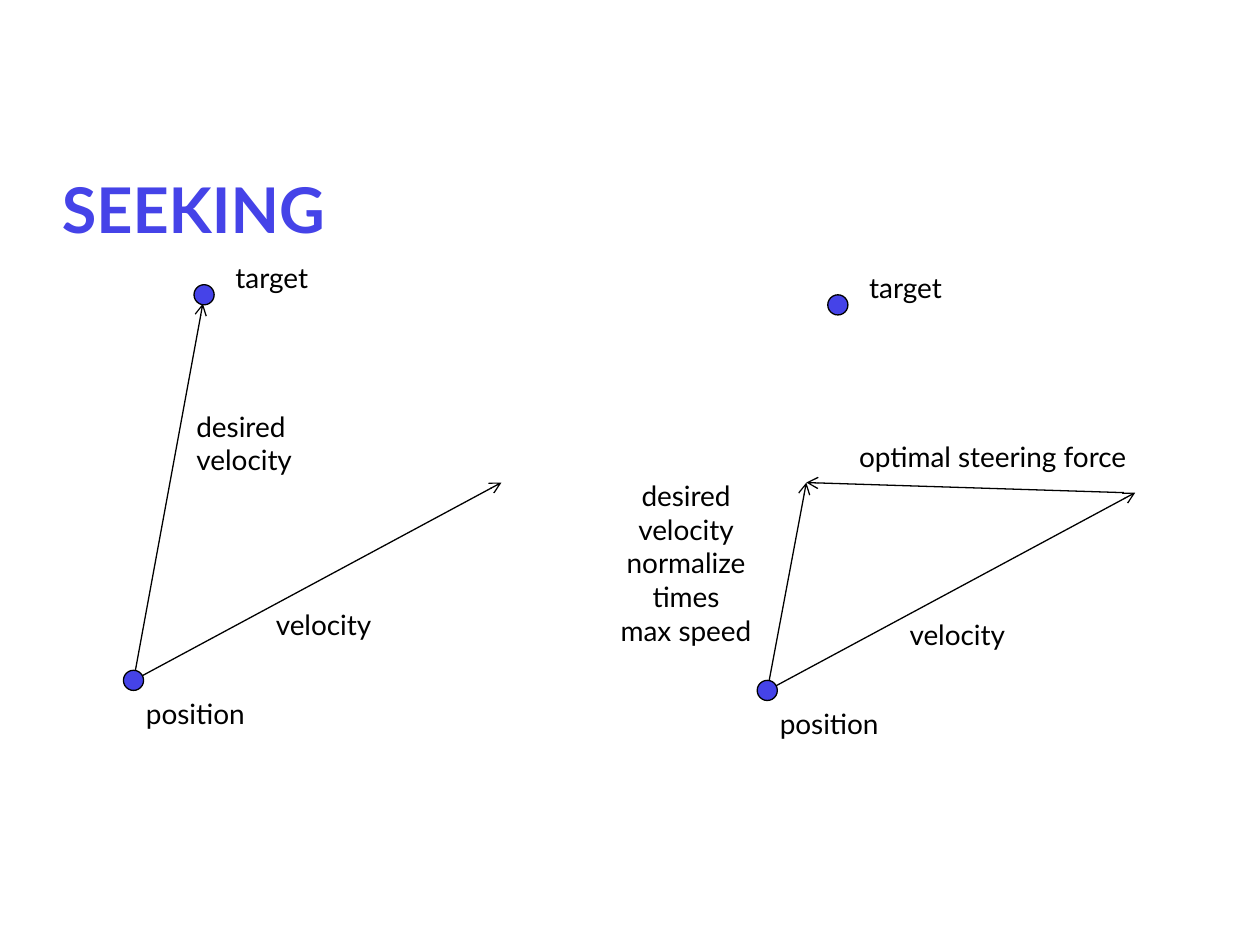
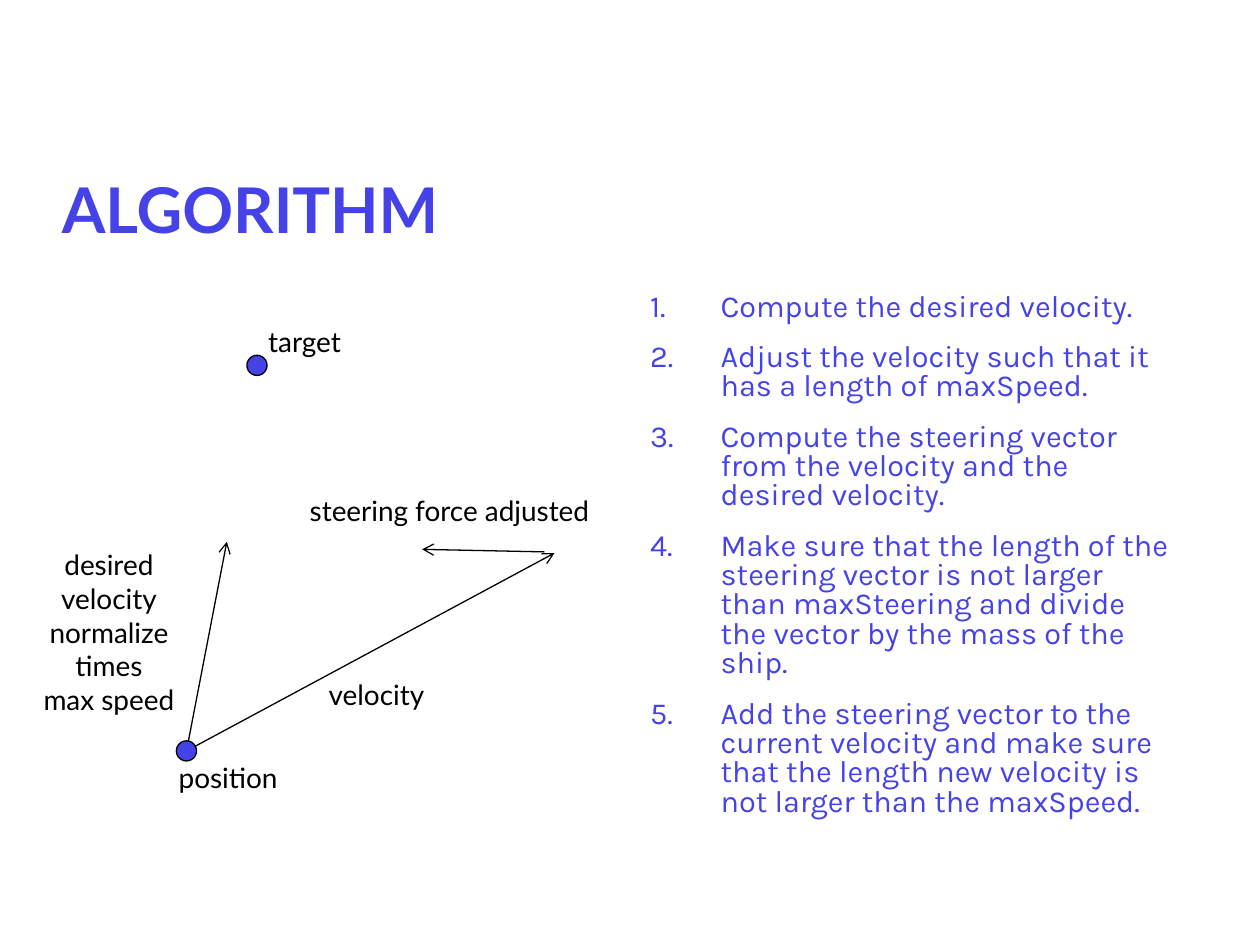
from dataclasses import dataclass

from lxml import etree
from pptx import Presentation
from pptx.dml.color import RGBColor
from pptx.enum.shapes import MSO_CONNECTOR, MSO_SHAPE
from pptx.enum.text import MSO_ANCHOR, MSO_AUTO_SIZE, PP_ALIGN
from pptx.oxml.ns import qn
from pptx.util import Inches, Pt

STRAIGHT = MSO_CONNECTOR.STRAIGHT
OVAL = MSO_SHAPE.OVAL
LEFT, CENTER = PP_ALIGN.LEFT, PP_ALIGN.CENTER
TOP, MIDDLE = MSO_ANCHOR.TOP, MSO_ANCHOR.MIDDLE
FIXED_SIZE, GROW = MSO_AUTO_SIZE.NONE, MSO_AUTO_SIZE.SHAPE_TO_FIT_TEXT

Point = tuple[float, float]


@dataclass(frozen=True)
class Theme:
    """Colours, fonts, type sizes and line weights of the deck."""
    accent: RGBColor = RGBColor(0x45, 0x43, 0xE8)
    ink: RGBColor = RGBColor(0, 0, 0)
    heading_font: str = "Lato"
    list_font: str = "Karla"
    title_size: float = 36
    label_size: float = 16
    list_size: float = 17.5
    line_width: float = 0.75
    dot_size: float = 0.16


THEME = Theme()


@dataclass(frozen=True)
class Label:
    """A caption; its place is an offset from the ship's position."""
    text: str
    offset: Point
    size: Point
    align: PP_ALIGN = LEFT


@dataclass(frozen=True)
class Diagram:
    """A vector diagram; all points are offsets from the ship's position."""
    position: Point
    desired: Point
    labels: tuple[Label, ...]
    steering: tuple[Point, Point] | None = None
    target_label: Point = (0.71, -3.38)
    position_label: Point = (0, 0.08)
    target: Point = (0.56, -3.06)
    velocity: Point = (2.92, -1.57)
    velocity_label: Point = (1.03, -0.63)


SCALED_VELOCITY = "desired\nvelocity\nnormalize\ntimes\nmax speed"

UNSCALED = Diagram(
    position=(1.06, 5.4),
    desired=(0.55, -2.99),
    labels=(Label("desired\nvelocity", (0.4, -2.2), (1.01, 0.64)),),
)
OPTIMAL = Diagram(
    position=(6.09, 5.48),
    desired=(0.31, -1.65),
    steering=((2.83, -1.57), (0.31, -1.65)),
    labels=(
        Label(SCALED_VELOCITY, (-1.3, -1.73), (1.31, 1.45), CENTER),
        Label("optimal steering force", (0.63, -2.04), (2.54, 0.37)),
    ),
)
ADJUSTED = Diagram(
    position=(1.48, 5.96),
    desired=(0.32, -1.66),
    steering=((2.84, -1.58), (1.87, -1.6)),
    target_label=(0.55, -3.43),
    position_label=(-0.16, 0.03),
    labels=(
        Label(SCALED_VELOCITY, (-1.27, -1.66), (1.31, 1.45), CENTER),
        Label("steering force adjusted", (0.88, -2.09), (2.71, 0.37)),
    ),
)

STEPS = (
    "Compute the desired velocity.",
    "Adjust the velocity such that it has a length of maxSpeed.",
    "Compute the steering vector from the velocity and the desired velocity.",
    "Make sure that the length of the steering vector is not larger than "
    "maxSteering and divide the vector by the mass of the ship.",
    "Add the steering vector to the current velocity and make sure that the "
    "length new velocity is not larger than the maxSpeed.",
)


def shift(origin: Point, offset: Point) -> Point:
    """Return the point that lies at an offset from the origin."""
    return origin[0] + offset[0], origin[1] + offset[1]


def place(box, left: float, top: float, width: float, height: float) -> None:
    """Move and size a placeholder, in inches."""
    box.left, box.top = Inches(left), Inches(top)
    box.width, box.height = Inches(width), Inches(height)


def write(box, text: str, *, font: str, size: float, color: RGBColor,
          bold: bool = False, align: PP_ALIGN = LEFT, anchor: MSO_ANCHOR = TOP,
          wrap: bool = True, auto_size: MSO_AUTO_SIZE = FIXED_SIZE) -> None:
    """Fill a box with one formatted paragraph for each line of text."""
    frame = box.text_frame
    frame.text = text
    frame.word_wrap, frame.auto_size = wrap, auto_size
    frame.vertical_anchor = anchor
    for para in frame.paragraphs:
        para.alignment = align
        for span in para.runs:
            span.font.name, span.font.size = font, Pt(size)
            span.font.bold = bold
            span.font.color.rgb = color


def add_title(page, text: str) -> None:
    """Fill the title placeholder in the style shared by all slides."""
    place(page.shapes.title, 0.39, 1.03, 9, 1.25)
    write(page.shapes.title, text, font=THEME.heading_font,
          size=THEME.title_size, color=THEME.accent, bold=True, anchor=MIDDLE)


def add_steps(page, steps: tuple[str, ...]) -> None:
    """Fill the body placeholder with a numbered list."""
    body = page.placeholders[1]
    place(body, 5.06, 2.28, 4.33, 4.42)
    write(body, "\n".join(steps), font=THEME.list_font,
          size=THEME.list_size, color=THEME.accent)
    indent = Inches(0.56)
    for para in body.text_frame.paragraphs:
        para.line_spacing, para.space_before = 0.8, Pt(12)
        properties = para._p.get_or_add_pPr()
        properties.set("marL", str(indent))
        properties.set("indent", str(-indent))
        etree.SubElement(properties, qn("a:buAutoNum"), type="arabicPeriod")


def add_arrow(page, start: Point, end: Point) -> None:
    """Draw a thin line with an open arrowhead at its end."""
    arrow = page.shapes.add_connector(
        STRAIGHT, *(Inches(value) for value in (*start, *end)))
    arrow.line.color.rgb = THEME.ink
    arrow.line.width = Pt(THEME.line_width)
    etree.SubElement(arrow.line._get_or_add_ln(), qn("a:tailEnd"), type="arrow")
    etree.SubElement(arrow._element.spPr, qn("a:effectLst"))


def add_dot(page, center: Point) -> None:
    """Draw a small outlined dot around a center."""
    size = THEME.dot_size
    left, top = shift(center, (-size / 2, -size / 2))
    dot = page.shapes.add_shape(OVAL, Inches(left), Inches(top),
                                Inches(size), Inches(size))
    dot.shadow.inherit = False
    dot.fill.solid()
    dot.fill.fore_color.rgb = THEME.accent
    dot.line.color.rgb = THEME.ink
    dot.line.width = Pt(THEME.line_width)


def add_label(page, origin: Point, label: Label) -> None:
    """Write a caption next to a diagram part."""
    corner = shift(origin, label.offset)
    box = page.shapes.add_textbox(
        *(Inches(value) for value in (*corner, *label.size)))
    write(box, label.text, font=THEME.heading_font, size=THEME.label_size,
          color=THEME.ink, align=label.align, wrap=False, auto_size=GROW)


def add_diagram(page, diagram: Diagram) -> None:
    """Draw the arrows, dots and captions of one vector diagram."""
    origin = diagram.position
    for end in (diagram.velocity, diagram.desired):
        add_arrow(page, origin, shift(origin, end))
    if diagram.steering:
        add_arrow(page, *(shift(origin, end) for end in diagram.steering))
    for center in (origin, shift(origin, diagram.target)):
        add_dot(page, center)
    common = (
        Label("velocity", diagram.velocity_label, (1.01, 0.37)),
        Label("position", diagram.position_label, (1.05, 0.37)),
        Label("target", diagram.target_label, (0.88, 0.37)),
    )
    for label in common + diagram.labels:
        add_label(page, origin, label)


def main() -> None:
    """Build and save the deck."""
    deck = Presentation()
    deck.slide_width, deck.slide_height = Inches(10), Inches(7.5)
    list_layout, title_layout = deck.slide_layouts[1], deck.slide_layouts[5]

    seeking = deck.slides.add_slide(title_layout)
    add_title(seeking, "SEEKING")
    for diagram in (UNSCALED, OPTIMAL):
        add_diagram(seeking, diagram)

    algorithm = deck.slides.add_slide(list_layout)
    add_title(algorithm, "ALGORITHM")
    add_steps(algorithm, STEPS)
    add_diagram(algorithm, ADJUSTED)

    deck.save("out.pptx")


main()
